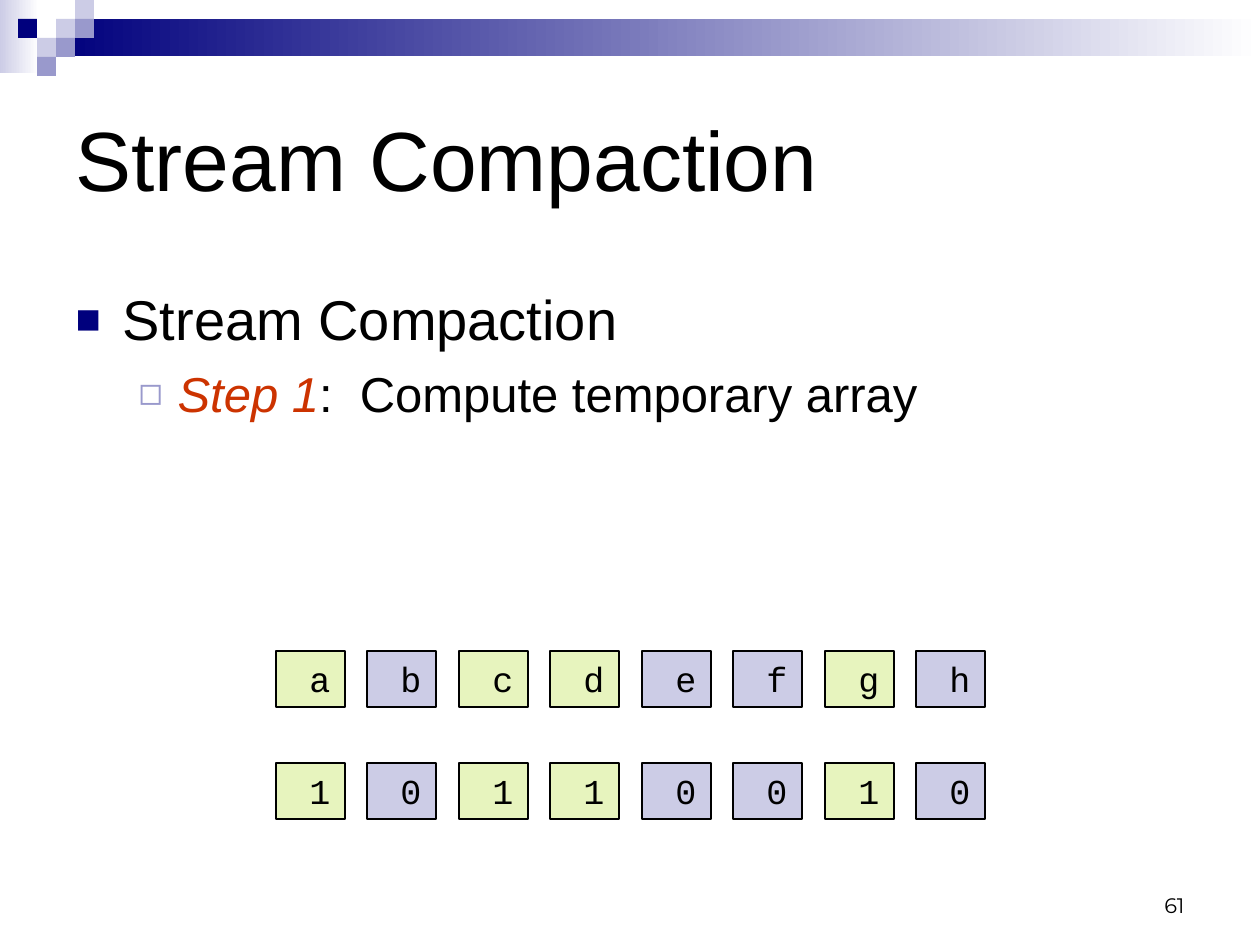
import dataclasses

import pptx
import pptx.dml.color
import pptx.enum.shapes
import pptx.enum.text
import pptx.oxml.ns
import pptx.util
from lxml import etree

EMU_PER_PX = 914400 / 126


@dataclasses.dataclass(frozen=True)
class Theme:
    """Colours, fonts and type sizes of the slide."""

    ink: str = "000000"
    paper: str = "FFFFFF"
    navy: str = "00007D"
    violet: str = "9999CC"
    lavender: str = "CCCCE6"
    lime: str = "E7F4BE"
    red: str = "CC3300"
    text_font: str = "Arial"
    code_font: str = "Courier New"
    number_font: str = "Montserrat"
    title_size: int = 48
    body_size: int = 32
    step_size: int = 28
    cell_size: int = 20
    number_size: int = 12


THEME = Theme()


def px(length):
    """Turn pixels into EMU."""
    return pptx.util.Emu(round(length * EMU_PER_PX))


def rgb(color):
    """Turn a hex string into a colour."""
    return pptx.dml.color.RGBColor.from_string(color)


def add_run(paragraph, text, font, size, color=THEME.ink, italic=False):
    """Append one formatted run."""
    run = paragraph.add_run()
    run.text = text
    run.font.name = font
    run.font.size = pptx.util.Pt(size)
    run.font.italic = italic
    run.font.color.rgb = rgb(color)


def place(shape, left, top, width, height):
    """Move and size a shape in pixels."""
    shape.left, shape.top = px(left), px(top)
    shape.width, shape.height = px(width), px(height)


def add_rectangle(slide, left, top, width, height, color):
    """Add a plain filled rectangle without outline."""
    shape = slide.shapes.add_shape(
        pptx.enum.shapes.MSO_SHAPE.RECTANGLE,
        px(left), px(top), px(width), px(height))
    shape.shadow.inherit = False
    shape.fill.solid()
    shape.fill.fore_color.rgb = rgb(color)
    shape.line.fill.background()
    return shape


def add_fading_bar(slide, left, top, width, height, color):
    """Add a rectangle that fades to the paper colour on its right."""
    fill = add_rectangle(slide, left, top, width, height, color).fill
    fill.gradient()
    fill.gradient_angle = 0
    for stop, position, stop_color in zip(
            fill.gradient_stops, (0, 1), (color, THEME.paper)):
        stop.position = position
        stop.color.rgb = rgb(stop_color)


def add_header(slide):
    """Draw the fading bars and the checker of small squares."""
    add_fading_bar(slide, 0, 0, 39, 73, THEME.lavender)
    add_fading_bar(slide, 57, 19, 1203, 37, THEME.navy)
    squares = (
        (3, 1, THEME.lavender), (4, 0, THEME.lavender),
        (4, 1, THEME.violet), (2, 2, THEME.lavender),
        (1, 1, THEME.navy), (3, 2, THEME.violet), (2, 3, THEME.violet))
    for column, row, color in squares:
        add_rectangle(slide, 19 * column - 1, 19 * row, 19, 19, color)


def set_bullet(paragraph, character, color, percent, margin, indent):
    """Give a paragraph a coloured bullet and a hanging indent."""
    properties = paragraph._p.get_or_add_pPr()
    properties.set("marL", str(px(margin)))
    properties.set("indent", str(px(indent)))
    name = pptx.oxml.ns.qn
    bullet_color = etree.SubElement(properties, name("a:buClr"))
    etree.SubElement(bullet_color, name("a:srgbClr"), val=color)
    etree.SubElement(properties, name("a:buSzPct"), val=str(percent * 1000))
    etree.SubElement(properties, name("a:buFont"), typeface=THEME.text_font)
    etree.SubElement(properties, name("a:buChar"), char=character)


def fill_title(slide, text):
    """Place and write the title."""
    title = slide.shapes.title
    place(title, 63, 63, 1134, 189)
    frame = title.text_frame
    frame.auto_size = pptx.enum.text.MSO_AUTO_SIZE.NONE
    frame.vertical_anchor = pptx.enum.text.MSO_ANCHOR.MIDDLE
    paragraph = frame.paragraphs[0]
    paragraph.alignment = pptx.enum.text.PP_ALIGN.LEFT
    add_run(paragraph, text, THEME.text_font, THEME.title_size)


def fill_body(slide):
    """Place and write the bulleted list."""
    body = slide.placeholders[1]
    place(body, 63, 273, 1176, 536)
    frame = body.text_frame
    frame.auto_size = pptx.enum.text.MSO_AUTO_SIZE.NONE
    frame.margin_top = px(12)
    topic = frame.paragraphs[0]
    set_bullet(topic, "■", THEME.navy, 75, 47, -47)
    topic.space_before = pptx.util.Pt(0)
    add_run(topic, "Stream Compaction", THEME.text_font, THEME.body_size)
    step = frame.add_paragraph()
    step.level = 1
    set_bullet(step, "◻", THEME.violet, 80, 102, -39)
    step.space_before = pptx.util.Pt(6.4)
    add_run(step, "Step 1", THEME.text_font, THEME.step_size,
            THEME.red, italic=True)
    add_run(step, ":  Compute temporary array", THEME.text_font,
            THEME.step_size)


def add_cell(slide, left, top, text, color):
    """Add one outlined array cell."""
    cell = add_rectangle(slide, left, top, 69, 56, color)
    cell.line.color.rgb = rgb(THEME.ink)
    cell.line.width = pptx.util.Pt(0.75)
    frame = cell.text_frame
    frame.word_wrap = False
    frame.vertical_anchor = pptx.enum.text.MSO_ANCHOR.TOP
    paragraph = frame.paragraphs[0]
    paragraph.alignment = pptx.enum.text.PP_ALIGN.LEFT
    add_run(paragraph, f" {text}", THEME.code_font, THEME.cell_size)


def add_arrays(slide, values, flags):
    """Draw the values above their flags, kept columns in lime."""
    first, last = 276, 916
    pitch = (last - first) / (len(values) - 1)
    for top, row in ((651, values), (763, flags)):
        for column, (text, flag) in enumerate(zip(row, flags)):
            color = THEME.lime if flag == "1" else THEME.lavender
            add_cell(slide, round(first + column * pitch), top, text, color)


def add_slide_number(slide, text):
    """Write the slide number at the lower right."""
    box = slide.shapes.add_textbox(px(903), px(861), px(294), px(63))
    frame = box.text_frame
    frame.word_wrap = True
    frame.vertical_anchor = pptx.enum.text.MSO_ANCHOR.BOTTOM
    paragraph = frame.paragraphs[0]
    paragraph.alignment = pptx.enum.text.PP_ALIGN.RIGHT
    add_run(paragraph, text, THEME.number_font, THEME.number_size)


def main():
    """Build and save the slide."""
    presentation = pptx.Presentation()
    presentation.slide_width = px(1260)
    presentation.slide_height = px(945)
    slide = presentation.slides.add_slide(presentation.slide_layouts[1])
    add_header(slide)
    fill_title(slide, "Stream Compaction")
    fill_body(slide)
    add_arrays(slide, "abcdefgh", "10110010")
    add_slide_number(slide, "61")
    presentation.save("out.pptx")


if __name__ == "__main__":
    main()
